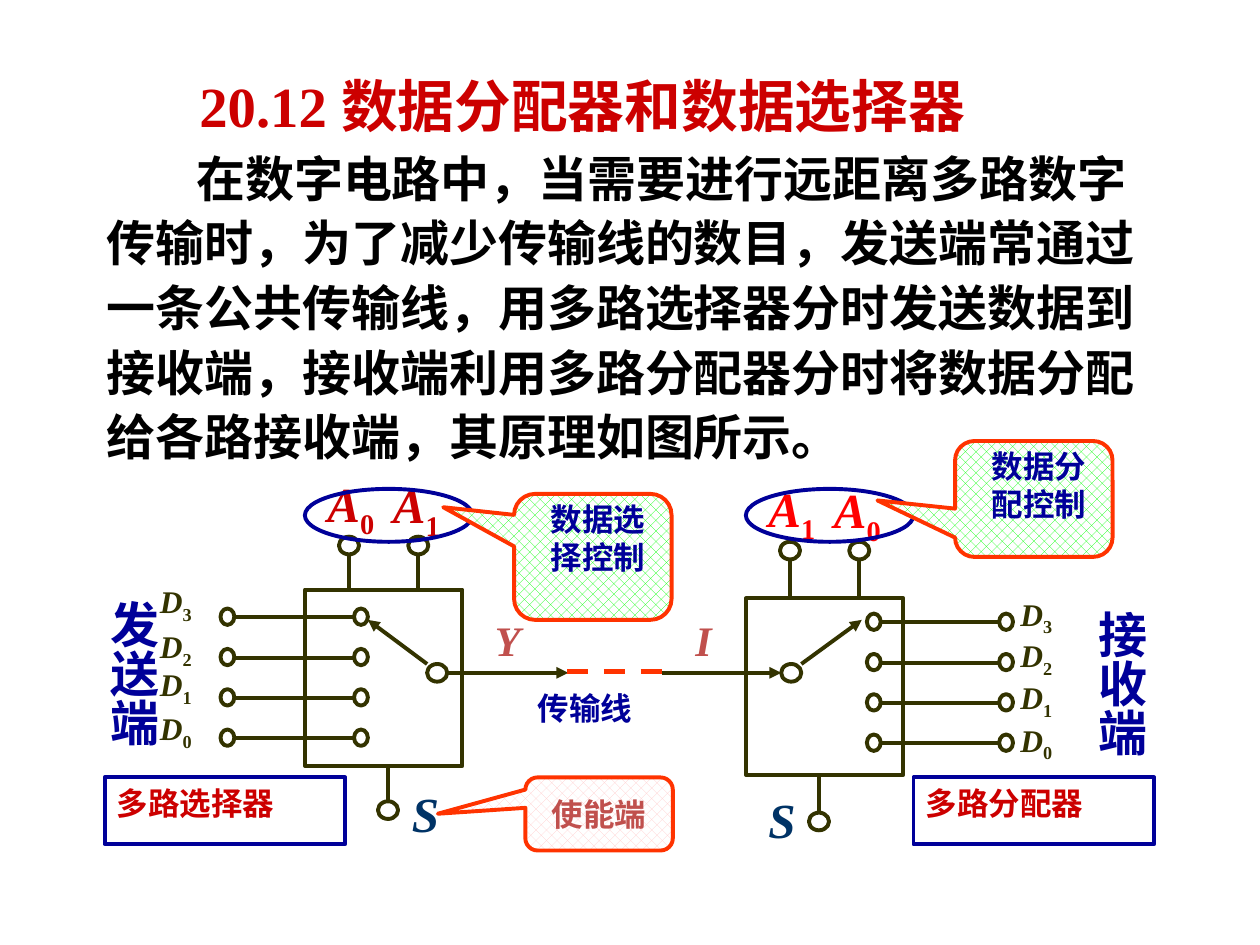
from lxml import etree
from pptx import Presentation
from pptx.dml.color import RGBColor
from pptx.enum.dml import MSO_LINE, MSO_PATTERN
from pptx.enum.shapes import MSO_CONNECTOR, MSO_SHAPE
from pptx.enum.text import MSO_ANCHOR, MSO_AUTO_SIZE, PP_ALIGN
from pptx.oxml.ns import qn
from pptx.util import Inches, Pt

OLIVE, NAVY, RED, ORANGE = "333300", "000099", "CC0000", "FF3300"
BRICK, TEAL, BLACK = "C0504D", "003366", "000000"
LATIN, EAST_ASIAN = "Times New Roman", "Noto Sans CJK JP"


def rgb(value):
    return RGBColor.from_string(value)


def write(sp, *lines, size=18, color=BLACK, italic=False, sub="", align=PP_ALIGN.LEFT,
          anchor=MSO_ANCHOR.TOP, spacing=1.0, indent=0, wrap=False, grow=True, vertical=False):
    tf = sp.text_frame
    tf.word_wrap = wrap
    tf.auto_size = MSO_AUTO_SIZE.SHAPE_TO_FIT_TEXT if grow else MSO_AUTO_SIZE.NONE
    tf.vertical_anchor = anchor
    if vertical:
        sp.element.txBody.bodyPr.set("vert", "eaVert")
    for i, line in enumerate(lines):
        p = tf.paragraphs[0] if i == 0 else tf.add_paragraph()
        p.alignment, p.line_spacing = align, spacing
        if indent and i == 0:
            pPr = p._p.get_or_add_pPr()
            pPr.set("marL", "0")
            pPr.set("indent", str(Inches(indent)))
        for text, lowered in ((line, False), (sub, True)):
            if not text:
                continue
            r = p.add_run()
            r.text = text
            r.font.size, r.font.bold = Pt(size), True
            r.font.italic = italic and not lowered
            r.font.color.rgb = rgb(color)
            r.font.name = LATIN
            rPr = r._r.get_or_add_rPr()
            etree.SubElement(rPr, qn("a:ea")).set("typeface", EAST_ASIAN)
            if lowered:
                rPr.set("baseline", "-25000")


class Sketch:
    def __init__(self, s, line_color, line_width):
        self.s = s
        self.line_color = line_color
        self.line_width = line_width

    def text(self, x, y, w, h, *lines, **style):
        sp = self.s.shapes.add_textbox(Inches(x), Inches(y), Inches(w), Inches(h))
        write(sp, *lines, **style)

    def shape(self, kind, x, y, w, h, color=None):
        sp = self.s.shapes.add_shape(kind, Inches(x), Inches(y), Inches(w), Inches(h))
        sp.shadow.inherit = False
        sp.fill.background()
        sp.line.color.rgb = rgb(color or self.line_color)
        sp.line.width = Pt(self.line_width)
        return sp

    def box(self, x, y, w, h, color=None):
        return self.shape(MSO_SHAPE.RECTANGLE, x, y, w, h, color)

    def ring(self, x, y, w=0.16, h=0.14, color=None):
        return self.shape(MSO_SHAPE.OVAL, x, y, w, h, color)

    def callout(self, x, y, w, h, tip, pattern):
        sp = self.shape(MSO_SHAPE.ROUNDED_RECTANGULAR_CALLOUT, x, y, w, h, ORANGE)
        for i, value in enumerate((*tip, 0.167)):
            sp.adjustments[i] = value
        sp.fill.patterned()
        sp.fill.pattern = MSO_PATTERN.from_xml("pct40")
        sp.fill.fore_color.rgb = rgb(pattern)
        sp.fill.back_color.rgb = rgb("FFFFFF")
        return sp

    def line(self, x1, y1, x2, y2, color=None, width=None, arrow=False, dash=False):
        c = self.s.shapes.add_connector(MSO_CONNECTOR.STRAIGHT, Inches(x1), Inches(y1),
                                        Inches(x2), Inches(y2))
        c.line.color.rgb = rgb(color or self.line_color)
        c.line.width = Pt(width or self.line_width)
        if dash:
            c.line.dash_style = MSO_LINE.DASH
        spPr = c.element.spPr
        if arrow:
            etree.SubElement(spPr.find(qn("a:ln")), qn("a:tailEnd")).set("type", "triangle")
        etree.SubElement(spPr, qn("a:effectLst"))

    def circuit(self, x, y, ports, port_y, address_y, enable_x, enable_y):
        self.box(x, y, 1.25, 1.4)
        left, right = ports
        for i in range(4):
            top = port_y + 0.32 * i
            self.line(left + 0.11, top + 0.07, right, top + 0.07)
            for port_x in ports:
                self.ring(port_x, top, 0.11, 0.13)
        for address_x in (x + 0.27, x + 0.82):
            self.line(address_x + 0.08, address_y + 0.14, address_x + 0.08, address_y + 0.43)
            self.ring(address_x, address_y)
        self.line(enable_x + 0.08, y + 1.4, enable_x + 0.08, enable_y)
        self.ring(enable_x, enable_y)

    def labels(self, x, tops):
        for digit, top in zip("3210", tops):
            self.text(x, top, 0.55, 0.5, "D", sub=digit, color=OLIVE, italic=True)

    def address(self, x, y, digits, color):
        for i, digit in enumerate(digits):
            self.text(x + 0.08 + 0.52 * i, y + 0.01 * i, 0.59, 0.57, "A", sub=digit,
                      size=28, color=color, italic=True)

    def control(self, x, oval_x, y, h, tip, *lines):
        self.ring(oval_x, 3.88, 1.33, 0.42, NAVY)
        self.callout(x, y, 1.25, h, tip, "00FF00")
        self.text(x, y, 1.33, 0.9, *lines, color=NAVY, align=PP_ALIGN.CENTER, wrap=True)


def main():
    prs = Presentation()
    prs.slide_width, prs.slide_height = Inches(10), Inches(7.5)
    sk = Sketch(prs.slides.add_slide(prs.slide_layouts[6]), OLIVE, 2.25)

    sk.text(0.83, 0.5, 7.58, 0.67, "20.12 数据分配器和数据选择器", size=32.4, color=RED,
            align=PP_ALIGN.CENTER, anchor=MSO_ANCHOR.MIDDLE, wrap=True, grow=False)
    sk.text(0.75, 1.08, 8.4, 2.67,
            "在数字电路中，当需要进行远距离多路数字",
            "传输时，为了减少传输线的数目，发送端常通过",
            "一条公共传输线，用多路选择器分时发送数据到",
            "接收端，接收端利用多路分配器分时将数据分配",
            "给各路接收端，其原理如图所示。",
            size=28, spacing=1.1, indent=0.71)

    enable = sk.callout(4.17, 6.17, 1.17, 0.58, (-1.094, -0.003), "FFCCCC")
    write(enable, "使能端", color=BRICK, align=PP_ALIGN.CENTER,
          anchor=MSO_ANCHOR.MIDDLE, grow=False)
    for x, name in ((0.83, "多路选择器"), (7.25, "多路分配器")):
        write(sk.box(x, 6.17, 1.91, 0.53, NAVY), name, color=RED)
    for x, y, name in ((0.67, 4.67, "发送端"), (8.51, 4.75, "接收端")):
        sk.text(x, y, 0.67, 1.27, name, size=28, color=NAVY, vertical=True)

    sk.circuit(2.42, 4.68, (1.75, 2.81), 4.83, 4.26, 3.0, 6.36)
    sk.circuit(5.92, 4.75, (6.88, 7.93), 4.87, 4.3, 6.42, 6.45)
    sk.labels(1.17, (4.57, 4.93, 5.23, 5.58))
    sk.labels(8, (4.67, 5, 5.33, 5.67))
    sk.address(2.42, 3.71, "01", RED)
    sk.address(5.92, 3.75, "10", "FF0000")

    for x in (3.39, 6.2):
        sk.ring(x, 5.27)
    sk.line(3.39, 5.27, 2.92, 4.92, arrow=True)
    sk.line(6.36, 5.27, 6.84, 4.92, arrow=True)
    sk.line(3.55, 5.34, 4.51, 5.34, arrow=True)
    sk.line(4.5, 5.33, 5.33, 5.33, color=ORANGE, width=3, dash=True)
    sk.line(5.25, 5.34, 6.2, 5.34, arrow=True)
    sk.text(4.17, 5.42, 1.21, 0.5, "传输线", color=NAVY)
    for x, name in ((3.83, "Y"), (5.42, "I")):
        sk.text(x, 4.83, 0.42, 0.5, name, size=24, color=BRICK, italic=True)
    for x, h, spacing in ((3.17, 0.57, 1.0), (6, 0.61, 1.1)):
        sk.text(x, 6.17, 0.42, h, "S", size=28, color=TEAL, italic=True, spacing=spacing)

    sk.control(4.08, 2.42, 3.92, 1, (-0.95, -0.394), "数据选", "择控制")
    sk.control(7.58, 5.92, 3.5, 0.92, (-0.993, 0.013), "数据分", "配控制")

    prs.save("out.pptx")


if __name__ == "__main__":
    main()
